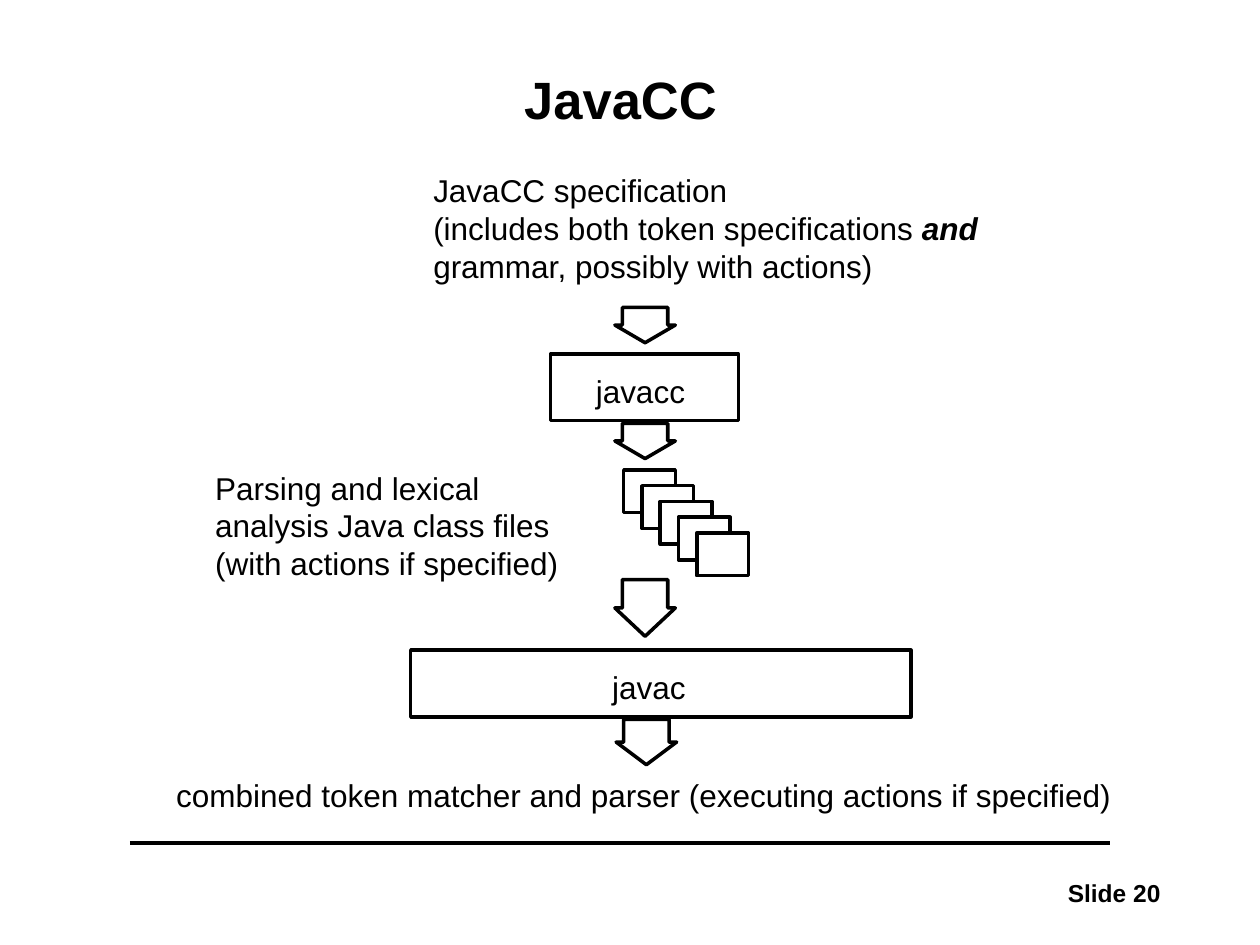
import pptx
import pptx.dml.color
import pptx.enum.shapes
import pptx.enum.text
import pptx.oxml.ns
import pptx.util
from lxml import etree
from pptx.util import Inches

BLACK = pptx.dml.color.RGBColor(0x00, 0x00, 0x00)
WHITE = pptx.dml.color.RGBColor(0xFF, 0xFF, 0xFF)
FONT = "Arial"
LINE_WIDTH = pptx.util.Pt(2)
ALIGN = pptx.enum.text.PP_ALIGN
ANCHOR = pptx.enum.text.MSO_ANCHOR
SHAPE = pptx.enum.shapes.MSO_SHAPE


def add_text(slide, box, lines, size=18, bold=False, align=ALIGN.LEFT,
             anchor=ANCHOR.TOP, wrap=False, spacing=None):
    """Each line is a list of (text, emphasised) runs, or a plain string."""
    frame = slide.shapes.add_textbox(*map(Inches, box)).text_frame
    frame.word_wrap = wrap
    frame.vertical_anchor = anchor
    for index, line in enumerate(lines):
        paragraph = frame.paragraphs[0] if index == 0 else frame.add_paragraph()
        paragraph.alignment = align
        if spacing:
            paragraph.line_spacing = spacing
        for text, emphasised in [(line, False)] if isinstance(line, str) else line:
            run = paragraph.add_run()
            run.text = text
            run.font.name = FONT
            run.font.size = pptx.util.Pt(size)
            run.font.bold = bold or emphasised
            run.font.italic = emphasised
            run.font.color.rgb = BLACK


def add_outlined(slide, kind, box):
    shape = slide.shapes.add_shape(kind, *map(Inches, box))
    shape.shadow.inherit = False
    shape.fill.solid()
    shape.fill.fore_color.rgb = WHITE
    shape.line.color.rgb = BLACK
    shape.line.width = LINE_WIDTH
    return shape


def add_down_arrow(slide, left, top, height):
    arrow = add_outlined(slide, SHAPE.DOWN_ARROW, (left, top, 0.48, height))
    arrow.adjustments[0] = 0.75
    arrow.adjustments[1] = 0.5


def add_tool(slide, box, name, text_offset, text_width):
    """A rectangle for a program, with its name laid over it."""
    left, top, _, _ = box
    add_outlined(slide, SHAPE.RECTANGLE, box)
    add_text(slide, (left + text_offset, top + 0.09, text_width, 0.4), [name])


def add_file_stack(slide, box, count=5):
    """Overlapping files stepping from the top left to the bottom right."""
    left, top, width, height = box
    file_width, file_height = 0.41, 0.34
    step_x = (width - file_width) / (count - 1)
    step_y = (height - file_height) / (count - 1)
    for index in range(count):
        add_outlined(slide, SHAPE.RECTANGLE,
                     (left + index * step_x, top + index * step_y,
                      file_width, file_height))


def add_flow(slide, box):
    left, top, width, _ = box
    arrow_left = left + 3.58

    # Specification going into javacc
    add_text(slide, (left + 2.04, top, 4.52, 1), [
        "JavaCC specification",
        [("(includes both token specifications ", False), ("and", True)],
        "grammar, possibly with actions)",
    ])
    add_down_arrow(slide, arrow_left, top + 1.13, 0.28)
    add_tool(slide, (left + 3.07, top + 1.5, 1.49, 0.53), "javacc", 0.26, 0.91)

    # Generated class files
    add_down_arrow(slide, arrow_left, top + 2.05, 0.28)
    add_text(slide, (left + 0.31, top + 2.36, 2.93, 1), [
        "Parsing and lexical",
        "analysis Java class files",
        "(with actions if specified)",
    ])
    add_file_stack(slide, (left + 3.65, top + 2.42, 0.99, 0.84))

    # Compilation and result
    add_down_arrow(slide, arrow_left, top + 3.29, 0.45)
    add_tool(slide, (left + 1.96, top + 3.85, 3.97, 0.53), "javac", 1.5, 0.79)
    add_down_arrow(slide, arrow_left + 0.01, top + 4.4, 0.36)
    add_text(slide, (left, top + 4.8, width, 0.4),
             ["combined token matcher and parser (executing actions if specified)"])


def add_title(slide, box):
    add_text(slide, box, ["JavaCC"], size=30, bold=True, align=ALIGN.CENTER,
             anchor=ANCHOR.MIDDLE, wrap=True, spacing=0.9)


def add_footer(slide, box):
    left, top, width, _ = box
    rule = slide.shapes.add_connector(
        pptx.enum.shapes.MSO_CONNECTOR.STRAIGHT,
        Inches(left), Inches(top), Inches(left + 7.78), Inches(top))
    rule.line.color.rgb = BLACK
    rule.line.width = LINE_WIDTH
    etree.SubElement(rule._element.spPr, pptx.oxml.ns.qn("a:effectLst"))
    add_text(slide, (left + width - 1.67, top + 0.23, 1.67, 0.33), ["Slide 20"],
             size=14, bold=True, align=ALIGN.RIGHT)


def main():
    presentation = pptx.Presentation()
    presentation.slide_width = Inches(10)
    presentation.slide_height = Inches(7.5)
    slide = presentation.slides.add_slide(presentation.slide_layouts[6])
    add_footer(slide, (1.03, 6.69, 8.28, 0.56))
    add_title(slide, (1.08, 0.33, 7.69, 0.96))
    add_flow(slide, (1.3, 1.31, 7.62, 5.2))
    presentation.save("out.pptx")


if __name__ == "__main__":
    main()
